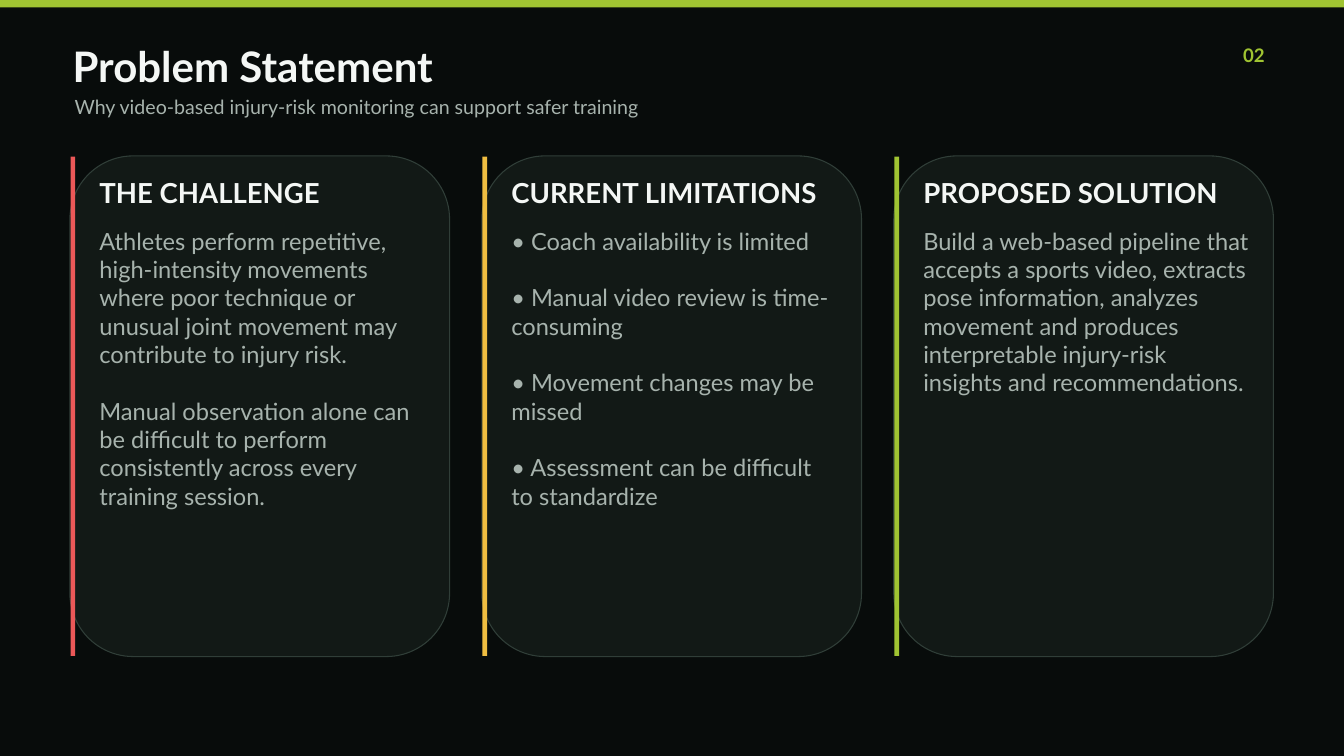
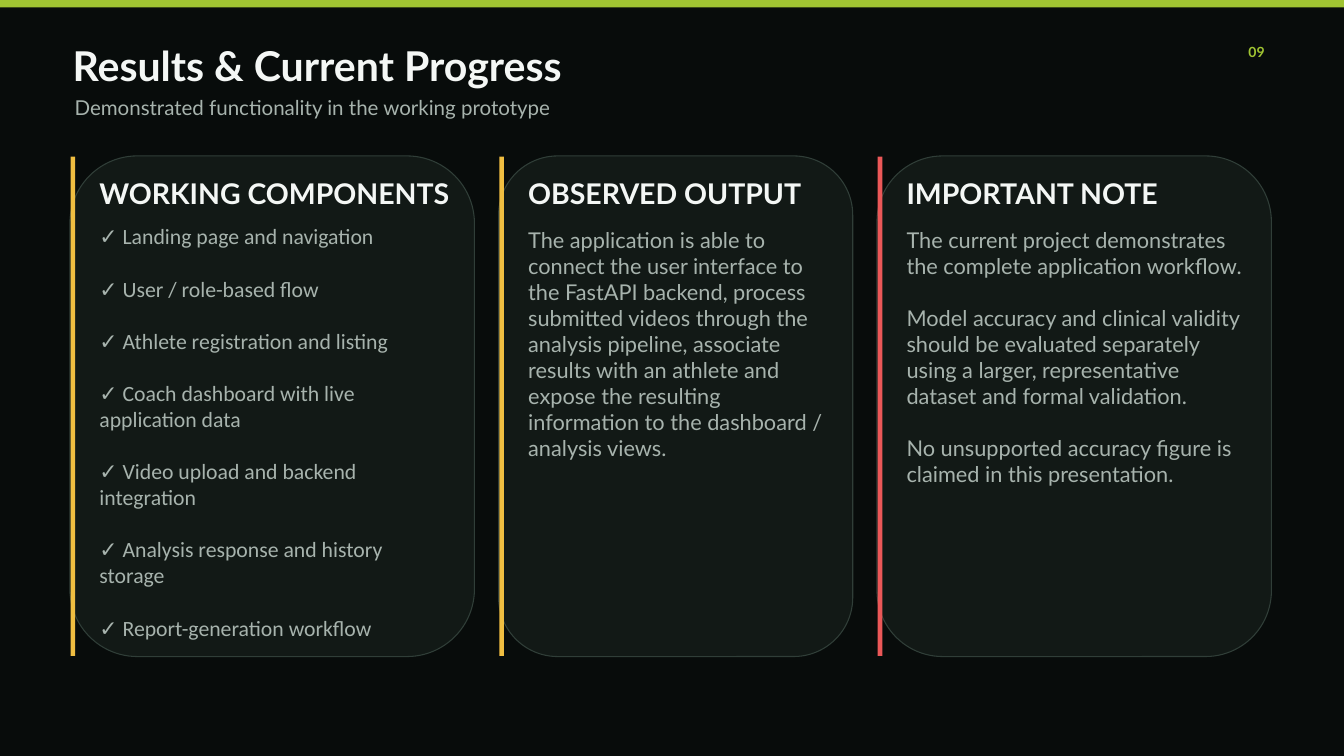
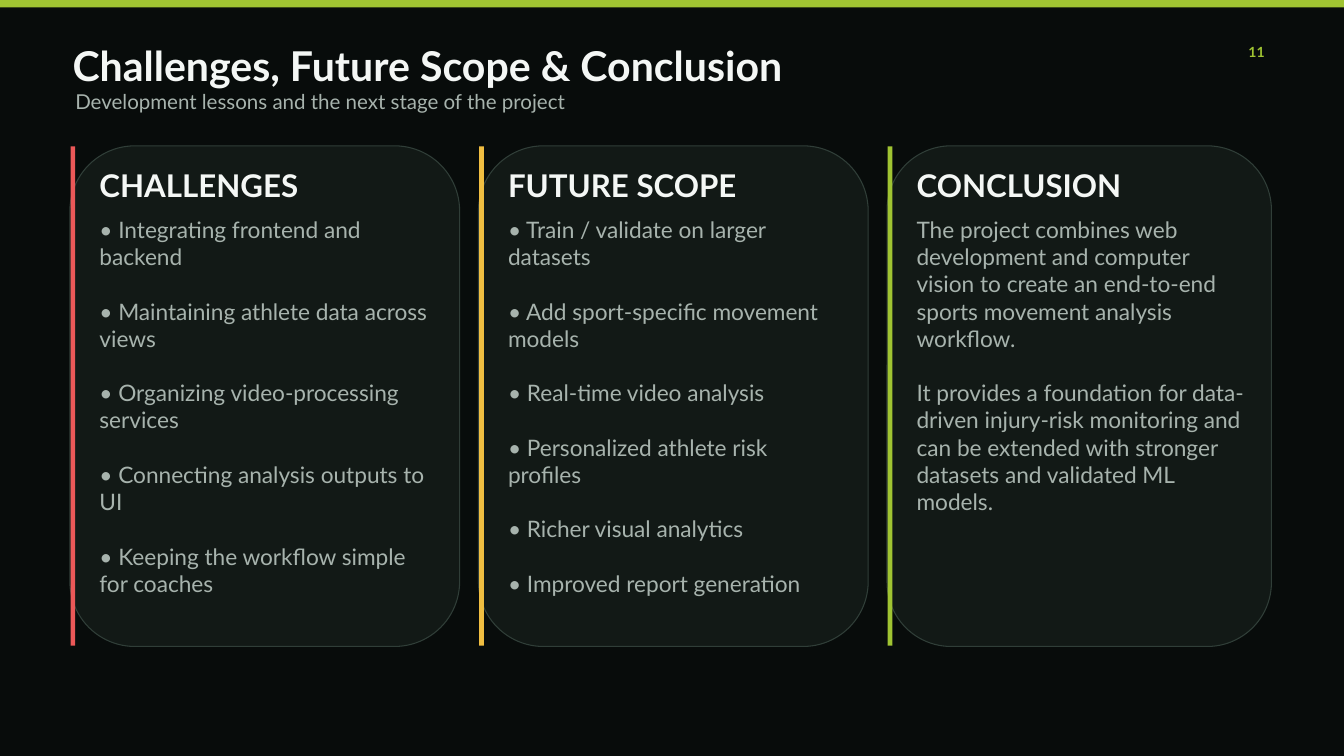
from dataclasses import dataclass

from pptx import Presentation
from pptx.dml.color import RGBColor
from pptx.enum import shapes, text
from pptx.util import Inches, Pt


@dataclass(frozen=True)
class Theme:
    back: str = "080C0B"
    card: str = "121916"
    edge: str = "303E38"
    white: str = "F4F7F5"
    grey: str = "A7B3AD"
    lime: str = "A0C432"
    red: str = "EB5858"
    gold: str = "F0BE41"
    font: str = "Lato"
    alt: str = "Calibri"
    lead: float = 1.2


@dataclass(frozen=True)
class Sizes:
    title: float
    sub: float
    num: float
    head: float
    body: float


T = Theme()
LEFT = 1.04
TALL = 7.45
INSET = 0.44
TRIM = 0.79
BLANK = 6

WIDE = Sizes(title=45, sub=21, num=20, head=29.5, body=25.3)
DENSE = Sizes(title=44, sub=22, num=15, head=30.5, body=23.3)
LARGE = Sizes(title=44, sub=22, num=15, head=33.5, body=24.3)


def color(code):
    return RGBColor.from_string(code)


def write(slide, paras, x, y, w, h=None, *, size, fill=T.white, font=T.font,
          bold=False, align=text.PP_ALIGN.LEFT):
    """Text with fixed leading and one line of space between paragraphs."""
    lead = size * T.lead
    box = slide.shapes.add_textbox(Inches(x), Inches(y), Inches(w),
                                   Inches(h or lead / 72))
    frame = box.text_frame
    frame.margin_left = frame.margin_right = 0
    frame.margin_top = frame.margin_bottom = 0
    frame.word_wrap = True
    frame.auto_size = text.MSO_AUTO_SIZE.SHAPE_TO_FIT_TEXT
    for i, line in enumerate(paras):
        para = frame.paragraphs[0] if i == 0 else frame.add_paragraph()
        para.alignment = align
        para.line_spacing = Pt(lead)
        if i:
            para.space_before = Pt(lead)
        run = para.add_run()
        run.text = line
        run.font.name = font
        run.font.size = Pt(size)
        run.font.bold = bold
        run.font.color.rgb = color(fill)


def block(slide, x, y, w, h, fill, edge=None,
          kind=shapes.MSO_SHAPE.RECTANGLE):
    shape = slide.shapes.add_shape(kind, Inches(x), Inches(y), Inches(w),
                                   Inches(h))
    shape.shadow.inherit = False
    shape.fill.solid()
    shape.fill.fore_color.rgb = color(fill)
    if edge:
        shape.line.color.rgb = color(edge)
        shape.line.width = Pt(1.13)
    else:
        shape.line.fill.background()


def start(deck, title, sub, num, sizes, width, sub_at):
    """New slide with the top band, title, subtitle and page number."""
    slide = deck.slides.add_slide(deck.slide_layouts[BLANK])
    block(slide, 0, 0, 20.02, 0.11, T.lime)
    write(slide, [title], 1.08, 0.6, width, size=sizes.title, bold=True)
    write(slide, [sub], *sub_at, 16.31, size=sizes.sub, fill=T.grey)
    write(slide, [num], 18.19, 0.65, 0.63, size=sizes.num, fill=T.lime,
          bold=True, align=text.PP_ALIGN.RIGHT)
    return slide


def card(slide, x, y, w, sizes, tint, head, paras, h, drop=1.05, font=T.font):
    """Rounded panel with a tinted left bar; drop places the body."""
    block(slide, x, y, w, TALL, T.card, T.edge,
          shapes.MSO_SHAPE.ROUNDED_RECTANGLE)
    block(slide, x + 0.01, y + 0.01, 0.07, TALL - 0.02, tint)
    write(slide, [head], x + INSET, y + 0.3, w - TRIM, size=sizes.head,
          bold=True)
    write(slide, paras, x + INSET, y + drop, w - TRIM, h, size=sizes.body,
          fill=T.grey, font=font)


def row(slide, y, widths, gap, sizes, cards):
    x = LEFT
    for w, item in zip(widths, cards):
        card(slide, x, y, w, sizes, **item)
        x += w + gap


def marked(sign, *lines):
    return [f"{sign} {line}" for line in lines]


def problem(deck):
    slide = start(
        deck, "Problem Statement",
        "Why video-based injury-risk monitoring can support safer training",
        "02", WIDE, 5.55, (1.11, 1.41))
    row(slide, 2.32, [5.65] * 3, 0.48, WIDE, [
        dict(tint=T.red, head="THE CHALLENGE", h=4.17, paras=[
            "Athletes perform repetitive, high-intensity movements where "
            "poor technique or unusual joint movement may contribute to "
            "injury risk.",
            "Manual observation alone can be difficult to perform "
            "consistently across every training session."]),
        dict(tint=T.gold, head="CURRENT LIMITATIONS", h=4.17, paras=marked(
            "•",
            "Coach availability is limited",
            "Manual video review is time-consuming",
            "Movement changes may be missed",
            "Assessment can be difficult to standardize")),
        dict(tint=T.lime, head="PROPOSED SOLUTION", h=2.5, paras=[
            "Build a web-based pipeline that accepts a sports video, "
            "extracts pose information, analyzes movement and produces "
            "interpretable injury-risk insights and recommendations."]),
    ])


def results(deck):
    slide = start(
        deck, "Results & Current Progress",
        "Demonstrated functionality in the working prototype",
        "09", DENSE, 7.51, (1.11, 1.42))
    row(slide, 2.32, [6.02, 5.27, 5.87], 0.36, DENSE, [
        dict(tint=T.gold, head="WORKING COMPONENTS", h=5.83, drop=1,
             font=T.alt, paras=marked(
                 "✓",
                 "Landing page and navigation",
                 "User / role-based flow",
                 "Athlete registration and listing",
                 "Coach dashboard with live application data",
                 "Video upload and backend integration",
                 "Analysis response and history storage",
                 "Report-generation workflow")),
        dict(tint=T.gold, head="OBSERVED OUTPUT", h=3.47, paras=[
            "The application is able to connect the user interface to the "
            "FastAPI backend, process submitted videos through the analysis "
            "pipeline, associate results with an athlete and expose the "
            "resulting information to the dashboard / analysis views."]),
        dict(tint=T.red, head="IMPORTANT NOTE", h=3.85, paras=[
            "The current project demonstrates the complete application "
            "workflow.",
            "Model accuracy and clinical validity should be evaluated "
            "separately using a larger, representative dataset and formal "
            "validation.",
            "No unsupported accuracy figure is claimed in this "
            "presentation."]),
    ])


def closing(deck):
    slide = start(
        deck, "Challenges, Future Scope & Conclusion",
        "Development lessons and the next stage of the project",
        "11", LARGE, 11.01, (1.12, 1.32))
    row(slide, 2.17, [5.8, 5.8, 5.72], 0.28, LARGE, [
        dict(tint=T.red, head="CHALLENGES", h=5.55, drop=1.04, paras=marked(
            "•",
            "Integrating frontend and backend",
            "Maintaining athlete data across views",
            "Organizing video-processing services",
            "Connecting analysis outputs to UI",
            "Keeping the workflow simple for coaches")),
        dict(tint=T.gold, head="FUTURE SCOPE", h=5.16, drop=1.04, paras=marked(
            "•",
            "Train / validate on larger datasets",
            "Add sport-specific movement models",
            "Real-time video analysis",
            "Personalized athlete risk profiles",
            "Richer visual analytics",
            "Improved report generation")),
        dict(tint=T.lime, head="CONCLUSION", h=4.36, drop=1.04, paras=[
            "The project combines web development and computer vision to "
            "create an end-to-end sports movement analysis workflow.",
            "It provides a foundation for data-driven injury-risk "
            "monitoring and can be extended with stronger datasets and "
            "validated ML models."]),
    ])


def main():
    deck = Presentation()
    deck.slide_width = Inches(20)
    deck.slide_height = Inches(11.25)
    back = deck.slide_master.background.fill
    back.solid()
    back.fore_color.rgb = color(T.back)
    problem(deck)
    results(deck)
    closing(deck)
    deck.save("out.pptx")


if __name__ == "__main__":
    main()
